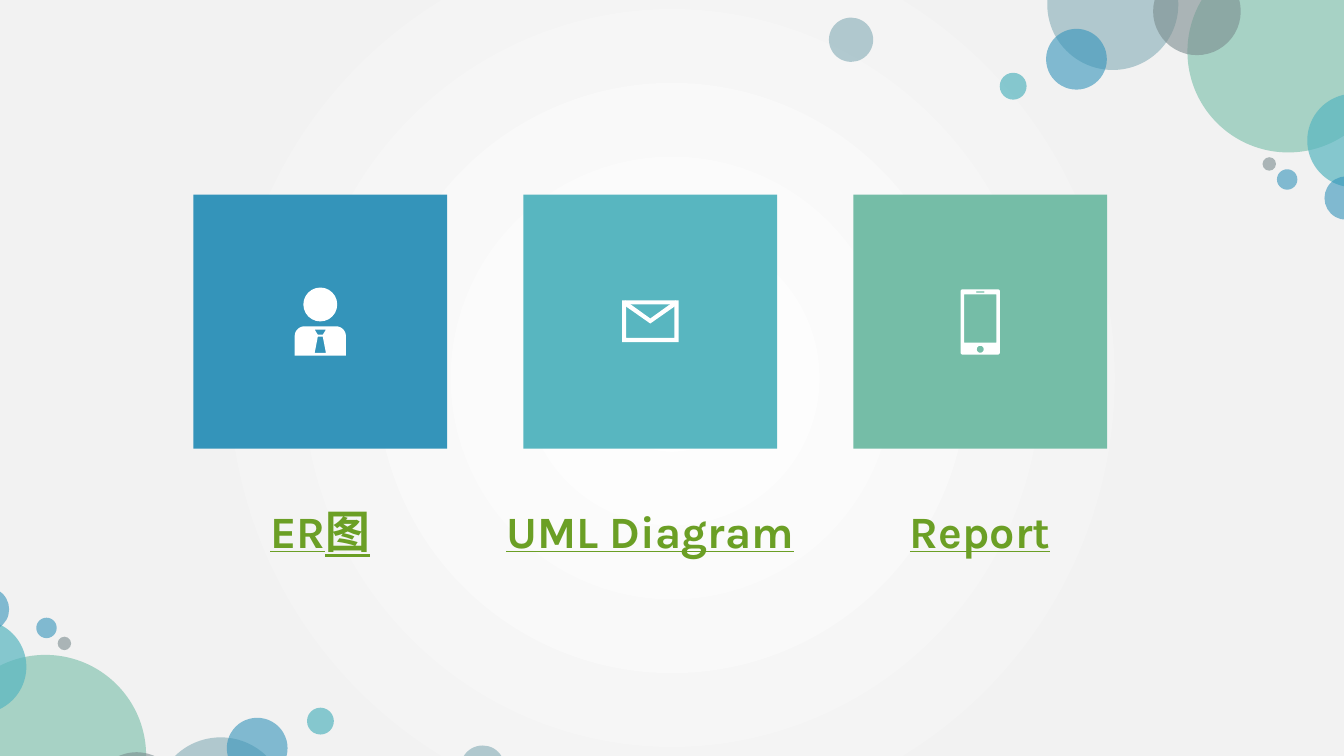
from math import cos, radians, sin

from lxml import etree
from pptx import Presentation
from pptx.dml.color import RGBColor
from pptx.enum.shapes import MSO_SHAPE as SHAPE
from pptx.enum.text import MSO_ANCHOR as ANCHOR, PP_ALIGN as ALIGN
from pptx.oxml import parse_xml
from pptx.oxml.ns import nsdecls, qn
from pptx.util import Pt

BLUE, TEAL, GREEN = "3494BA", "58B6C0", "75BDA7"
STEEL, GRAY, WHITE = "84ACB6", "7A8C8E", "FFFFFF"


def rgb(hex_color):
    return RGBColor.from_string(hex_color)


def arc(cx, cy, r, start, end, steps=12):
    """Points along an arc, clockwise from start to end in degrees."""
    angles = [radians(start + (end - start) * i / steps) for i in range(steps + 1)]
    return [(cx + r * cos(a), cy + r * sin(a)) for a in angles]


def box(half_w, top, bottom):
    return [(-half_w, top), (half_w, top), (half_w, bottom), (-half_w, bottom)]


class Deck:
    font = {"name": "Karla", "size": Pt(32), "bold": True, "underline": True}
    para = {"alignment": ALIGN.CENTER, "line_spacing": 1.3, "space_before": Pt(10)}
    frame = {"word_wrap": True, "vertical_anchor": ANCHOR.TOP}
    link_color = "6B9F25"

    def __init__(self, prs):
        self.s = prs.slides.add_slide(prs.slide_layouts[6])

    @staticmethod
    def apply(target, values):
        for name, value in values.items():
            setattr(target, name, value)

    def background(self, stops):
        gs = "".join(f'<a:gs pos="{pos * 1000}"><a:srgbClr val="{color}"/></a:gs>'
                     for pos, color in stops)
        self.s.element.cSld.insert(0, parse_xml(
            f'<p:bg {nsdecls("p", "a")}><p:bgPr><a:gradFill><a:gsLst>{gs}</a:gsLst>'
            '<a:path path="circle"><a:fillToRect l="50000" t="50000" r="50000" b="50000"/>'
            '</a:path></a:gradFill><a:effectLst/></p:bgPr></p:bg>'))

    def paint(self, sp, color, alpha=100):
        sp.shadow.inherit = False
        sp.fill.solid()
        sp.fill.fore_color.rgb = rgb(color)
        sp.line.fill.background()
        if alpha < 100:
            clr = sp.element.spPr.find(qn("a:solidFill"))[0]
            etree.SubElement(clr, qn("a:alpha")).set("val", str(alpha * 1000))

    def shape(self, kind, x, y, w, h, color, alpha=100):
        sp = self.s.shapes.add_shape(kind, Pt(x), Pt(y), Pt(w), Pt(h))
        self.paint(sp, color, alpha)

    def circle(self, cx, cy, r, color, alpha=100):
        self.shape(SHAPE.OVAL, cx - r, cy - r, 2 * r, 2 * r, color, alpha)

    def outline(self, cx, cy, contours, color=WHITE):
        """One freeform; contours after the first cut holes in it."""
        rings = [[(Pt(cx + x), Pt(cy + y)) for x, y in ring] for ring in contours]
        fb = self.s.shapes.build_freeform(*rings[0][0])
        fb.add_line_segments(rings[0][1:], close=True)
        for ring in rings[1:]:
            fb.move_to(*ring[0])
            fb.add_line_segments(ring[1:], close=True)
        self.paint(fb.convert_to_shape(), color)

    def caption(self, text, x, y, w, h):
        tf = self.s.shapes.add_textbox(Pt(x), Pt(y), Pt(w), Pt(h)).text_frame
        self.apply(tf, self.frame)
        p = tf.paragraphs[0]
        self.apply(p, self.para)
        r = p.add_run()
        r.text = text
        self.apply(r.font, self.font)
        r.font.color.rgb = rgb(self.link_color)


def person(deck, cx, cy):
    body = ([(-18.3, 24.4)] + arc(-11.3, 10.4, 7, 180, 270)
            + arc(11.3, 10.4, 7, 270, 360) + [(18.3, 24.4)])
    knot = [(-4, 5.8), (4, 5.8), (1.8, 9.4), (-1.8, 9.4)]
    tie = [(-1.8, 10.8), (1.8, 10.8), (4, 22.3), (-4, 22.3)]
    deck.circle(cx, cy - 12.2, 12.1, WHITE)
    deck.outline(cx, cy, [body, knot, tie])


def envelope(deck, cx, cy):
    flap = [(0, 1.4), (-19.4, -12.2), (-18, -15.1), (0, -2.2), (18, -15.1), (19.4, -12.2)]
    deck.outline(cx, cy, [box(20.2, -15.1, 14.6), box(17.3, -12.2, 11.7)])
    deck.outline(cx, cy, [flap])


def phone(deck, cx, cy):
    case = [pt for x, y, start in ((-12.6, -21.6, 180), (12.6, -21.6, 270),
                                   (12.6, 22.2, 0), (-12.6, 22.2, 90))
            for pt in arc(x, y, 1.4, start, start + 90)]
    screen, speaker = box(11.5, -19.4, 15.1), box(2.9, -21.6, -20.7)
    button = arc(0, 19.8, 2.5, 0, 360, 36)
    deck.outline(cx, cy, [case, screen, speaker, button])


prs = Presentation()
prs.slide_width, prs.slide_height = Pt(960), Pt(540)
deck = Deck(prs)
deck.background([(0, WHITE), (67, "F2F2F2"), (100, "F2F2F2")])

# Corner bubbles: centre x, centre y, radius, colour, opacity
BUBBLES = [
    (794.9, 3.2, 46.8, STEEL, 60), (920.2, 36.9, 72, GREEN, 60),
    (855, 8.1, 31.3, GRAY, 60), (768.9, 42.3, 21.7, BLUE, 60),
    (967.3, 100.4, 33.5, TEAL, 70), (723.7, 61.6, 9.6, TEAL, 70),
    (961.6, 141.5, 15.5, BLUE, 60), (919.4, 128.2, 7.3, BLUE, 60),
    (906.6, 117.1, 4.8, GRAY, 60), (607.9, 28.4, 15.8, STEEL, 60),
]
for x, y, r, color, alpha in BUBBLES:
    deck.circle(x, y, r, color, alpha)
# The lower left corner repeats them turned by half a circle
for x, y, r, color, alpha in BUBBLES:
    deck.circle(952.6 - x, 576.7 - y, r, color, alpha)

# Tiles, each with its icon and caption
TILE, TOP, FIRST_CX, PITCH = 181.4, 139, 228.8, 235.7
CAPTION_W, CAPTION_TOP, CAPTION_H = 230.4, 344.9, 46.8
TILES = [("ER图", BLUE, person), ("UML Diagram", TEAL, envelope), ("Report", GREEN, phone)]
for i, (text, color, icon) in enumerate(TILES):
    cx = FIRST_CX + i * PITCH
    deck.shape(SHAPE.RECTANGLE, cx - TILE / 2, TOP, TILE, TILE, color)
    icon(deck, cx, TOP + TILE / 2)
    deck.caption(text, cx - CAPTION_W / 2, CAPTION_TOP, CAPTION_W, CAPTION_H)

prs.save("out.pptx")
